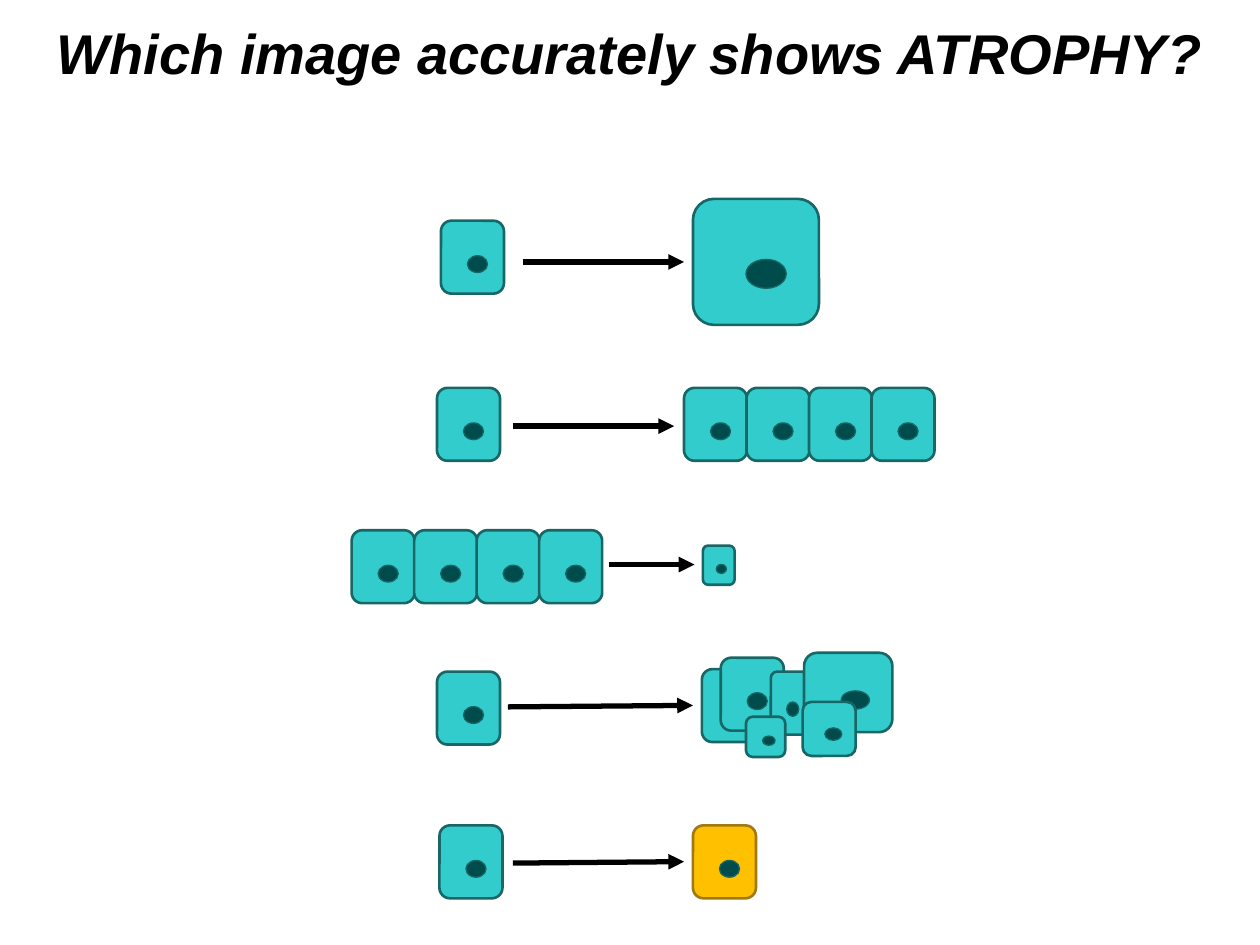
from lxml import etree
from pptx import Presentation
from pptx.dml.color import RGBColor
from pptx.enum.shapes import MSO_CONNECTOR, MSO_SHAPE
from pptx.enum.text import MSO_ANCHOR, PP_ALIGN
from pptx.oxml.ns import qn
from pptx.util import Cm, Pt

ROUND = MSO_SHAPE.ROUNDED_RECTANGLE
OVAL = MSO_SHAPE.OVAL
LINE = MSO_CONNECTOR.STRAIGHT
TOP = MSO_ANCHOR.TOP
MID = PP_ALIGN.CENTER

BLACK = RGBColor(0x00, 0x00, 0x00)
TEAL = RGBColor(0x33, 0xCC, 0xCC)
EDGE = RGBColor(0x19, 0x66, 0x66)
DARK = RGBColor(0x00, 0x4C, 0x4D)
GOLD = RGBColor(0xFF, 0xC0, 0x00)
BROWN = RGBColor(0xA0, 0x79, 0x14)

WIDE, TALL = 1.27, 1.47
STEP = 1.26


class Board:
    fonts = {"name": "Arial", "size": Pt(32), "bold": True, "italic": True}
    frame = {"word_wrap": True, "vertical_anchor": TOP, "margin_top": Cm(0.25)}

    def __init__(self, slide):
        self.slide = slide

    def apply(self, item, form):
        for key, value in form.items():
            setattr(item, key, value)

    def title(self, text, *area):
        box = self.slide.shapes.add_textbox(*map(Cm, area)).text_frame
        self.apply(box, self.frame)
        para = box.paragraphs[0]
        para.alignment = MID
        run = para.add_run()
        run.text = text
        self.apply(run.font, self.fonts)
        run.font.color.rgb = BLACK

    def shape(self, group, kind, area, fill, edge, width):
        item = group.shapes.add_shape(kind, *map(Cm, area))
        item.shadow.inherit = False
        item.fill.solid()
        item.fill.fore_color.rgb = fill
        item.line.color.rgb = edge
        item.line.width = Pt(width)

    def cell(self, x, y, w=WIDE, h=TALL, fill=TEAL, edge=EDGE, core=True):
        group = self.slide.shapes.add_group_shape()
        self.shape(group, ROUND, (x, y, w, h), fill, edge, 1.5)
        if core:
            spot = (x + 0.42 * w, y + 0.48 * h, 0.32 * w, 0.23 * h)
            self.shape(group, OVAL, spot, DARK, EDGE, 0.75)

    def row(self, x, y, count=4):
        for i in range(count):
            self.cell(x + i * STEP, y)

    def arrow(self, *ends):
        item = self.slide.shapes.add_connector(LINE, *map(Cm, ends))
        item.line.color.rgb = BLACK
        item.line.width = Pt(3)
        head = etree.SubElement(item.line._get_or_add_ln(), qn("a:tailEnd"))
        head.set("type", "triangle")
        etree.SubElement(item._element.spPr, qn("a:effectLst"))


def main():
    deck = Presentation()
    deck.slide_width, deck.slide_height = Cm(25.4), Cm(19.05)
    board = Board(deck.slides.add_slide(deck.slide_layouts[6]))
    board.title("Which image accurately shows ATROPHY?", 0, 0.13, 25.4, 2.06)

    for x, y in ((8.89, 4.45), (8.81, 7.82), (8.81, 13.54), (8.86, 16.64)):
        board.cell(x, y)

    board.cell(13.97, 4.01, 2.54, 2.54)
    board.row(13.79, 7.82)
    board.row(7.09, 10.69)
    board.cell(14.17, 11, 0.64, 0.79)

    board.cell(14.15, 13.49, core=False)
    cluster = (
        (14.53, 13.26, WIDE, TALL),
        (15.54, 13.54, 0.76, 1.27),
        (15.04, 14.45, 0.79, 0.81),
        (16.21, 13.16, 1.78, 1.6),
        (16.18, 14.15, 1.07, 1.09),
    )
    for area in cluster:
        board.cell(*area)

    board.cell(13.97, 16.64, fill=GOLD, edge=BROWN)

    arrows = (
        (10.54, 5.28, 13.79, 5.28),
        (10.34, 8.59, 13.59, 8.59),
        (12.27, 11.38, 14, 11.38),
        (10.24, 14.25, 13.97, 14.22),
        (10.34, 17.4, 13.79, 17.37),
    )
    for ends in arrows:
        board.arrow(*ends)

    deck.save("out.pptx")


if __name__ == "__main__":
    main()
